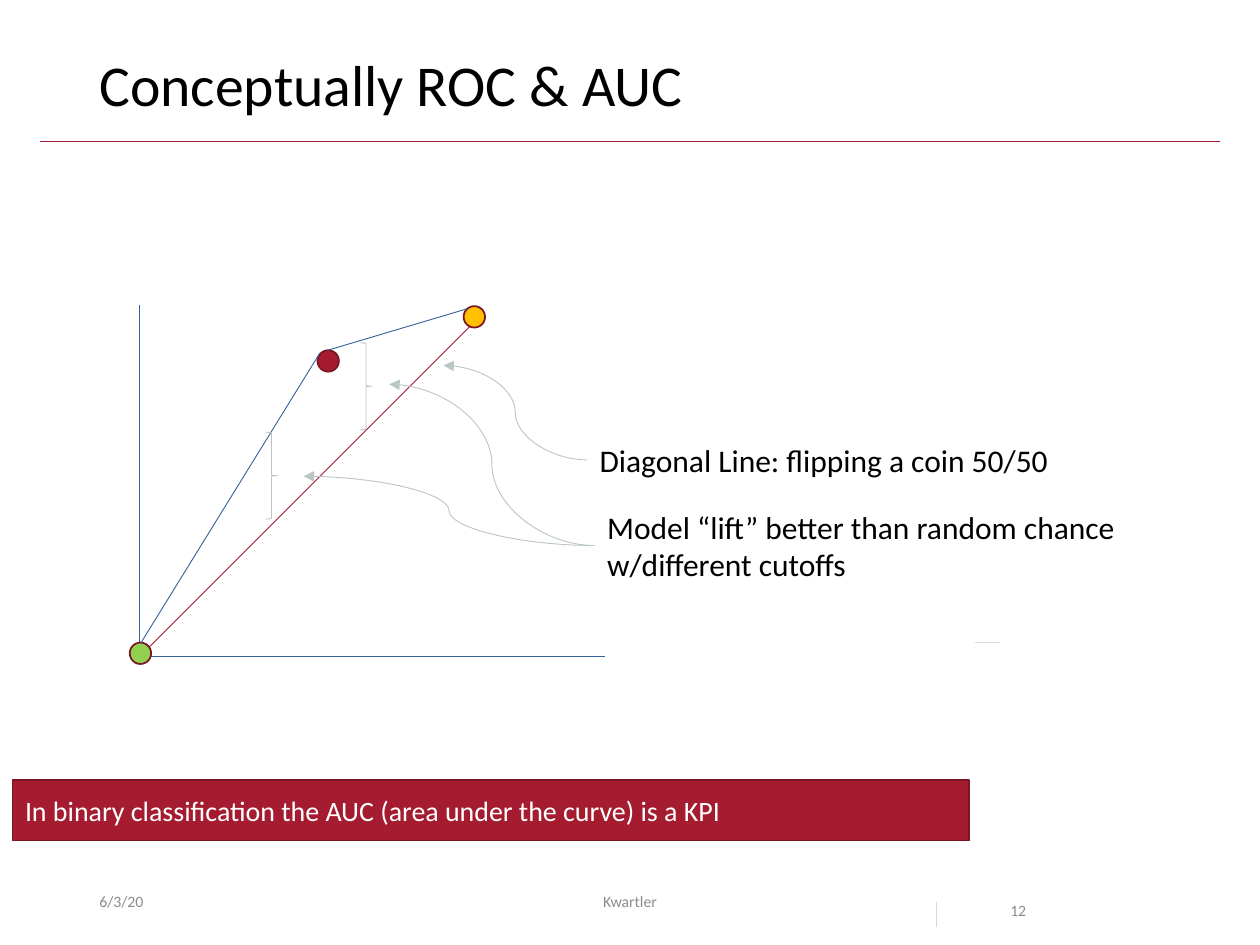
from dataclasses import dataclass

import pptx
import pptx.dml.color
import pptx.enum.shapes
import pptx.enum.text
import pptx.oxml
import pptx.oxml.ns
import pptx.util

RGB = pptx.dml.color.RGBColor
SHAPE = pptx.enum.shapes.MSO_SHAPE
CONNECTOR = pptx.enum.shapes.MSO_CONNECTOR
ALIGN = pptx.enum.text.PP_ALIGN
ANCHOR = pptx.enum.text.MSO_ANCHOR

CRIMSON = RGB(0xA5, 0x1C, 0x30)
DARK_CRIMSON = RGB(0x7A, 0x15, 0x24)
BLUE = RGB(0x33, 0x62, 0x9A)
GREEN = RGB(0x92, 0xD0, 0x50)
AMBER = RGB(0xFF, 0xC0, 0x00)
SILVER = RGB(0xBA, 0xC5, 0xC6)
PALE_GRAY = RGB(0xD9, 0xD9, 0xD9)
FOOTER_GRAY = RGB(0x8C, 0x8C, 0x8C)
BLACK = RGB(0, 0, 0)
WHITE = RGB(0xFF, 0xFF, 0xFF)

# The slide is a grid of square cells
COLUMNS, ROWS = 100, 75
CELL = pptx.util.Inches(0.1)
DOT_SIZE = 1.7
BRACE_SIZE = (0.9, 6.9)


@dataclass(frozen=True)
class Stroke:
    start: tuple[float, float]
    end: tuple[float, float]
    color: RGB


@dataclass(frozen=True)
class Dot:
    corner: tuple[float, float]
    color: RGB


def cells(*counts: float) -> list[int]:
    return [round(count * CELL) for count in counts]


def write(frame, text: str, *, size: float, color: RGB = BLACK, align=ALIGN.LEFT,
          anchor=ANCHOR.TOP, wrap: bool = True, spacing: float = 1.0) -> None:
    frame.word_wrap = wrap
    frame.vertical_anchor = anchor
    paragraph = frame.paragraphs[0]
    paragraph.alignment = align
    paragraph.line_spacing = spacing
    run = paragraph.add_run()
    run.text = text
    run.font.name = "Calibri"
    run.font.size = pptx.util.Pt(size)
    run.font.color.rgb = color


def draw_text(shapes, box: tuple, text: str, **text_format) -> None:
    write(shapes.add_textbox(*cells(*box)).text_frame, text, **text_format)


def draw_line(shapes, stroke: Stroke, kind=CONNECTOR.STRAIGHT, arrow: bool = False) -> None:
    line = shapes.add_connector(kind, *cells(*stroke.start, *stroke.end))
    line.line.color.rgb = stroke.color
    line.line.width = pptx.util.Pt(0.5)
    properties = line._element.spPr
    if arrow:
        tail = pptx.oxml.parse_xml(
            f'<a:tailEnd {pptx.oxml.ns.nsdecls("a")} type="triangle"/>')
        line.line._get_or_add_ln().append(tail)
    properties.append(pptx.oxml.parse_xml(
        f'<a:effectLst {pptx.oxml.ns.nsdecls("a")}/>'))


def draw_shape(shapes, preset, box: tuple, outline: RGB, width: float,
               fill: RGB | None = None):
    shape = shapes.add_shape(preset, *cells(*box))
    shape.shadow.inherit = False
    if fill is None:
        shape.fill.background()
    else:
        shape.fill.solid()
        shape.fill.fore_color.rgb = fill
    shape.line.color.rgb = outline
    shape.line.width = pptx.util.Pt(width)
    return shape


AXES_AND_DIAGONAL = [
    Stroke((11.1, 24.2), (11.1, 51.8), BLUE),
    Stroke((10.9, 52.1), (48, 52.1), BLUE),
    Stroke((11.1, 52.1), (37.6, 25.6), CRIMSON),
]
CUTOFF_DOTS = [
    Dot((25.2, 27.8), CRIMSON),
    Dot((10.3, 51), GREEN),
    Dot((36.8, 24.3), AMBER),
]
ROC_CURVE = [
    Stroke((11.2, 51), (25.4, 28), BLUE),
    Stroke((26, 27.8), (37.1, 24.5), BLUE),
]
LIFT_BRACES = [(28.6, 27.2), (21.1, 34.3)]
LIFT_NOTE_EDGE = (47.2, 43.3)
POINTERS = [
    Stroke((46.6, 36.5), (35.2, 29), SILVER),
    Stroke(LIFT_NOTE_EDGE, (30.9, 30.5), SILVER),
    Stroke(LIFT_NOTE_EDGE, (24.1, 37.8), SILVER),
]
FOOTER_TICKS = [
    Stroke((74.3, 71.6), (74.3, 73.6), PALE_GRAY),
    Stroke((77.4, 51), (79.4, 51), PALE_GRAY),
]


def main() -> None:
    deck = pptx.Presentation()
    deck.slide_width, deck.slide_height = COLUMNS * CELL, ROWS * CELL
    shapes = deck.slides.add_slide(deck.slide_layouts[6]).shapes

    # Title and rule
    draw_line(shapes, Stroke((3.2, 11.2), (96.8, 11.2), CRIMSON))
    draw_text(shapes, (6.9, 4, 86.2, 6.5), "Conceptually ROC & AUC", size=33, spacing=0.9)

    # Footer
    footer = {"size": 9, "color": FOOTER_GRAY}
    draw_text(shapes, (6.9, 69.5, 22.5, 4), "6/3/20", anchor=ANCHOR.MIDDLE, **footer)
    draw_text(shapes, (33.1, 69.5, 33.8, 4), "Kwartler", anchor=ANCHOR.MIDDLE,
              align=ALIGN.CENTER, **footer)
    draw_text(shapes, (79.2, 69.5, 9.4, 4), "12", spacing=2.0, **footer)

    # ROC diagram
    diagram = shapes.add_group_shape().shapes
    for stroke in AXES_AND_DIAGONAL:
        draw_line(diagram, stroke)
    for dot in CUTOFF_DOTS:
        draw_shape(diagram, SHAPE.OVAL, (*dot.corner, DOT_SIZE, DOT_SIZE),
                   DARK_CRIMSON, 1, dot.color)
    for stroke in ROC_CURVE:
        draw_line(diagram, stroke)

    # Notes, with braces and pointers to the diagram
    draw_text(shapes, (46.6, 34.5, 38.1, 4), "Diagonal Line: flipping a coin 50/50",
              size=18, wrap=False)
    draw_text(shapes, (47.2, 39.8, 47.5, 7.1),
              "Model “lift” better than random chance w/different cutoffs", size=18)
    for corner in LIFT_BRACES:
        draw_shape(shapes, SHAPE.RIGHT_BRACE, (*corner, *BRACE_SIZE), SILVER, 0.5)
    for pointer in POINTERS:
        draw_line(shapes, pointer, CONNECTOR.CURVE, arrow=True)

    # Takeaway banner
    banner = draw_shape(shapes, SHAPE.RECTANGLE, (1, 61.9, 75.9, 4.8),
                        DARK_CRIMSON, 1, CRIMSON)
    write(banner.text_frame,
          "In binary classification the AUC (area under the curve) is a KPI",
          size=16, color=WHITE, anchor=ANCHOR.MIDDLE)

    for tick in FOOTER_TICKS:
        draw_line(shapes, tick)

    deck.save("out.pptx")


if __name__ == "__main__":
    main()
